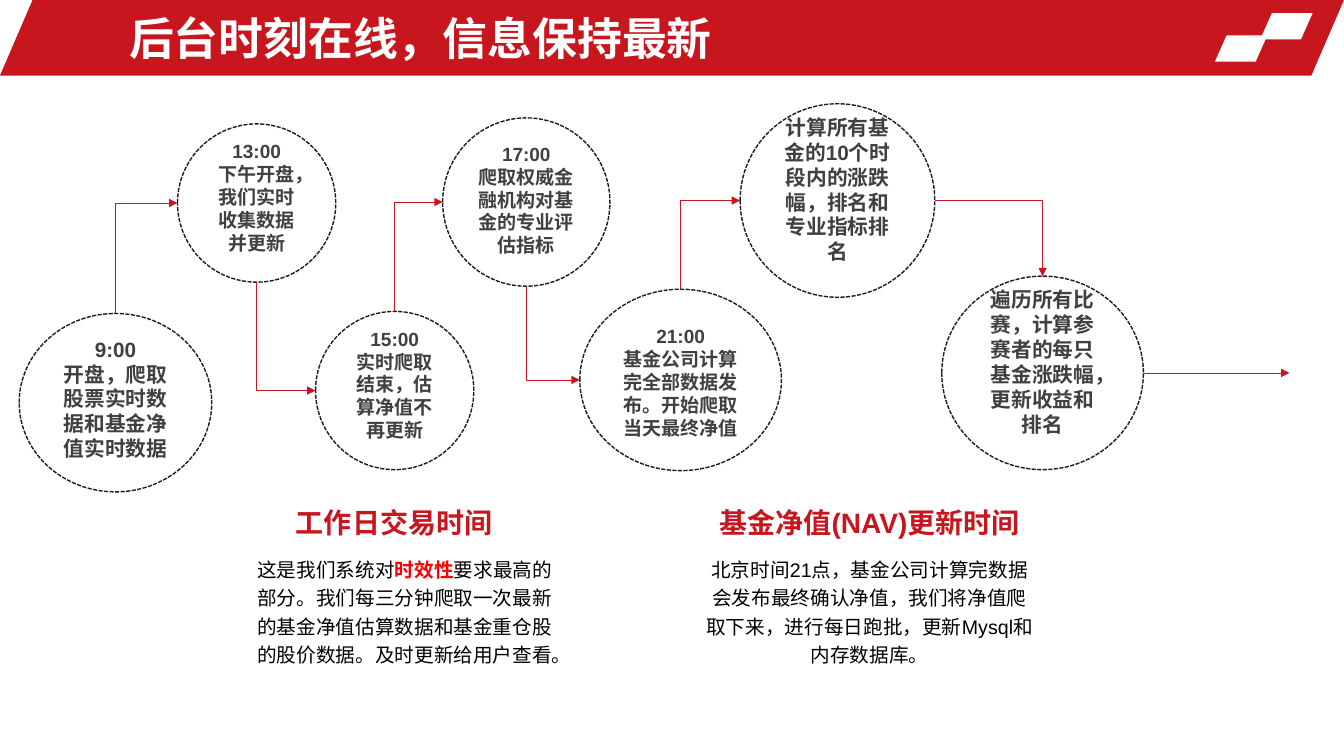
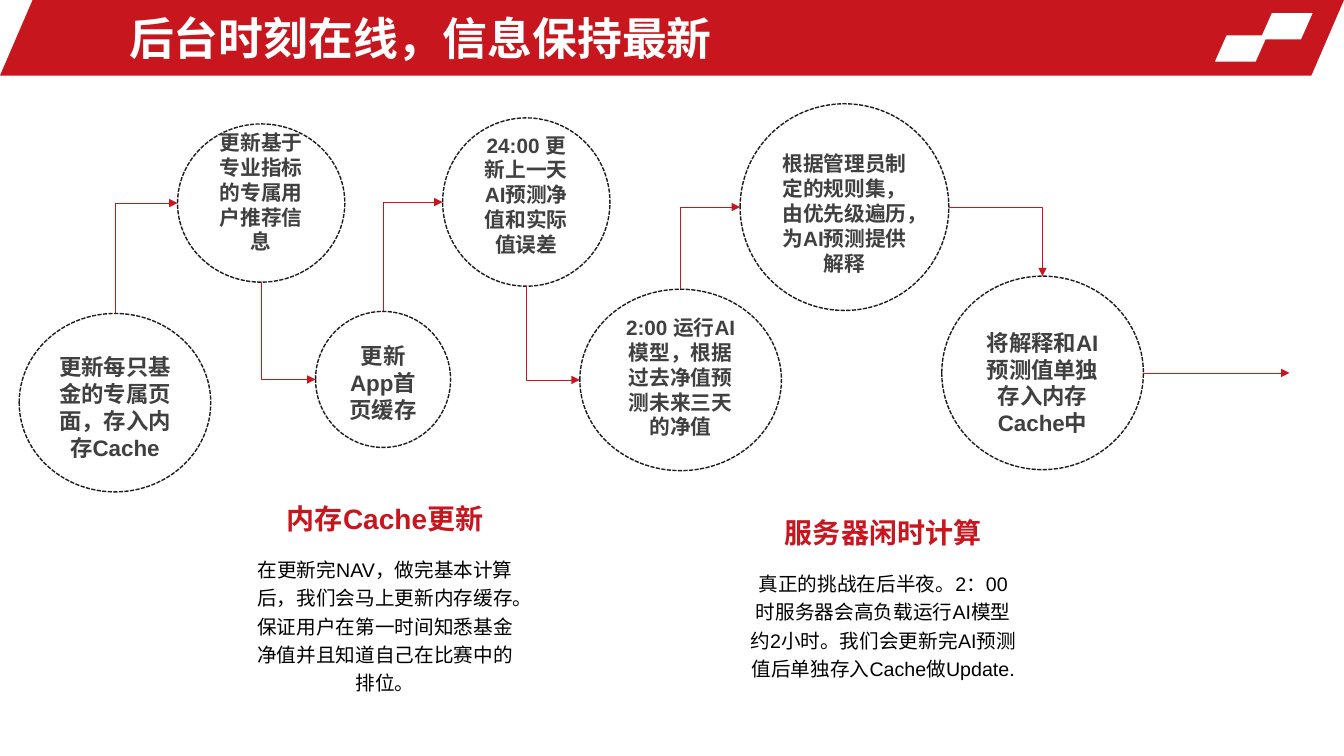
from dataclasses import dataclass

from lxml import etree
from pptx import Presentation
from pptx.dml.color import RGBColor
from pptx.enum.dml import MSO_LINE
from pptx.enum.shapes import MSO_CONNECTOR, MSO_SHAPE
from pptx.enum.text import MSO_ANCHOR, MSO_AUTO_SIZE, PP_ALIGN
from pptx.oxml.ns import qn
from pptx.util import Inches, Pt

OVAL, SLANT = MSO_SHAPE.OVAL, MSO_SHAPE.PARALLELOGRAM
ELBOW, STRAIGHT = MSO_CONNECTOR.ELBOW, MSO_CONNECTOR.STRAIGHT
MIDDLE, BOTTOM = MSO_ANCHOR.MIDDLE, MSO_ANCHOR.BOTTOM
LEFT, CENTER = PP_ALIGN.LEFT, PP_ALIGN.CENTER
DASH = MSO_LINE.SQUARE_DOT
# Connection sites of an ellipse
TOP, WEST, BASE, EAST = 0, 2, 4, 6


@dataclass(frozen=True)
class Theme:
    font: str = "Arial"
    red: RGBColor = RGBColor(0xC8, 0x16, 0x1E)
    alert: RGBColor = RGBColor(0xFF, 0, 0)
    white: RGBColor = RGBColor(0xFF, 0xFF, 0xFF)
    black: RGBColor = RGBColor(0, 0, 0)
    grey: RGBColor = RGBColor(0x40, 0x40, 0x40)
    ink: RGBColor = RGBColor(0x1B, 0x1C, 0x21)
    title: float = 32
    head: float = 20
    body: float = 14
    rim: float = 1
    wire: float = 0.5


@dataclass(frozen=True)
class Box:
    x: int
    y: int
    w: int
    h: int

    def cut(self, x, y, w, h):
        """Return an inner box given in percent of this one."""
        return Box(int(self.x + self.w * x / 100), int(self.y + self.h * y / 100),
                   int(self.w * w / 100), int(self.h * h / 100))

    def rect(self):
        return self.x, self.y, self.w, self.h


THEME = Theme()
PAGE = Box(0, 0, Inches(13.33), Inches(7.5))
FLOW = PAGE.cut(1.43, 13.73, 94.52, 51.33)
TITLE = "后台时刻在线，信息保持最新"

# Left and top of each step, in percent of the flow box
SPOTS = [(0, 54.03), (12.46, 5.19), (23.33, 53.51), (33.33, 3.64),
         (44.13, 47.79), (56.75, 0), (72.62, 44.42)]
# Leaving and entering side of each link between steps
LINKS = [(TOP, WEST), (BASE, WEST), (TOP, WEST), (BASE, WEST), (TOP, WEST), (EAST, TOP)]

# Steps: width and height in percent of the flow box, type size, lines
DAY = [
    (15.16, 45.97, 14.8, ["9:00", "开盘，爬取股票实时数据和基金净值实时数据"]),
    (12.46, 40.78, 13.6, ["13:00", "下午开盘，我们实时收集数据并更新"]),
    (12.46, 40.78, 13.6, ["15:00", "实时爬取结束，估算净值不再更新"]),
    (13.17, 43.38, 13.6, ["17:00", "爬取权威金融机构对基金的专业评估指标"]),
    (15.87, 46.75, 13.6, ["21:00", "基金公司计算完全部数据发布。开始爬取当天最终净值"]),
    (15.32, 49.87, 14.8, ["计算所有基金的10个时段内的涨跌幅，排名和专业指标排名"]),
    (15.87, 49.87, 14.8, ["遍历所有比赛，计算参赛者的每只基金涨跌幅，更新收益和排名"]),
]
NIGHT = [
    (15.08, 45.97, 16, ["更新每只基金的专属页面，存入内存Cache"]),
    (13.17, 40.78, 14.8, ["更新基于专业指标的专属用户推荐信息"]),
    (10.63, 35.06, 16, ["更新App首页缓存"]),
    (13.17, 43.38, 14.8, ["24:00 更新上一天AI预测净值和实际值误差"]),
    (15.87, 46.75, 14.8, ["2:00 运行AI模型，根据过去净值预测未来三天的净值"]),
    (16.43, 53.25, 14.8, ["根据管理员制定的规则集，由优先级遍历，为AI预测提供解释"]),
    (15.87, 49.87, 16, ["将解释和AI预测值单独存入内存Cache中"]),
]

# Notes: box on the page, heading box inside it, heading, body runs (text, stressed)
HEAD = (0, 0, 100, 28)
DAY_NOTES = [
    ((18, 64.67, 24.23, 28.13), (2.79, 1.9, 87.93, 28), "工作日交易时间",
     [("这是我们系统对", False), ("时效性", True),
      ("要求最高的部分。我们每三分钟爬取一次最新的基金净值估算数据和基金重仓股的"
       "股价数据。及时更新给用户查看。", False)]),
    ((51.76, 64.67, 25.88, 28.13), (0, 1.9, 100, 28), "基金净值(NAV)更新时间",
     [("北京时间21点，基金公司计算完数据会发布最终确认净值，我们将净值爬取下来，"
       "进行每日跑批，更新Mysql和内存数据库。", False)]),
]
NIGHT_NOTES = [
    ((18, 64.67, 21.31, 28.13), HEAD, "内存Cache更新",
     [("在更新完NAV，做完基本计算后，我们会马上更新内存缓存。保证用户在第一时间"
       "知悉基金净值并且知道自己在比赛中的排位。", False)]),
    ((55.06, 66.53, 21.31, 28.13), HEAD, "服务器闲时计算",
     [("真正的挑战在后半夜。2：00时服务器会高负载运行AI模型约2小时。我们会更新完"
       "AI预测值后单独存入Cache做Update.", False)]),
]


def style(para, size, color, bold=False, align=CENTER):
    para.alignment = align
    font = para.font
    font.name, font.size, font.bold = THEME.font, Pt(size), bold
    font.color.rgb = color


def slant(slide, box, adj, color):
    shape = slide.shapes.add_shape(SLANT, *box.rect())
    shape.adjustments[0] = adj
    shape.shadow.inherit = False
    shape.fill.solid()
    shape.fill.fore_color.rgb = color
    shape.line.fill.background()
    return shape


def dress(layout, slide):
    """Put the band and title place on the layout, drawing on a slide first."""
    title, *rest = layout.placeholders
    for item in rest:
        layout.shapes.element.remove(item.element)
    title.left, title.top, title.width, title.height = PAGE.cut(
        8.85, 0.67, 58.06, 8.67).rect()
    bands = [slant(slide, PAGE.cut(0, 0, 100, 10), 0.431, THEME.red)]
    for x, y in [(93.77, 1.73), (90.4, 4.67)]:
        bands.append(slant(slide, PAGE.cut(x, y, 3.9, 3.47), 0.444, THEME.white))
    for spot, shape in enumerate(bands, 2):
        layout.shapes.element.insert(spot, shape.element)


def banner(slide):
    frame = slide.shapes.title.text_frame
    frame.text = TITLE
    frame.auto_size = MSO_AUTO_SIZE.NONE
    frame.vertical_anchor = MIDDLE
    style(frame.paragraphs[0], THEME.title, THEME.white, True, LEFT)


def bubble(slide, box, size, lines):
    shape = slide.shapes.add_shape(OVAL, *box.rect())
    shape.shadow.inherit = False
    shape.fill.background()
    shape.line.color.rgb = THEME.ink
    shape.line.width = Pt(THEME.rim)
    shape.line.dash_style = DASH
    frame = shape.text_frame
    frame.word_wrap = True
    frame.vertical_anchor = BOTTOM
    frame.text = "\n".join(lines)
    for para in frame.paragraphs:
        style(para, size, THEME.grey, True)
    return shape


def site(shape, side):
    """Return the point at the middle of one side of a shape."""
    x, y, w, h = shape.left, shape.top, shape.width, shape.height
    return {TOP: (x + w // 2, y), WEST: (x, y + h // 2),
            BASE: (x + w // 2, y + h), EAST: (x + w, y + h // 2)}[side]


def wire(slide, kind, start, end, tip):
    """Draw a red line with an arrowhead at tip (headEnd or tailEnd)."""
    line = slide.shapes.add_connector(kind, *start, *end)
    line.line.color.rgb = THEME.red
    line.line.width = Pt(THEME.wire)
    props = line.element.spPr
    etree.SubElement(props.find(qn("a:ln")), qn("a:" + tip), type="triangle")
    etree.SubElement(props, qn("a:effectLst"))
    return line


def glue(line, tag, shape, side):
    # Ellipses have eight sites, more than begin_connect can place
    lock = next(line.element.iter(qn("p:cNvCxnSpPr")))
    etree.SubElement(lock, qn("a:" + tag), id=str(shape.shape_id), idx=str(side))


def link(slide, source, out, target, into):
    """Join two steps by one bend; the line starts at its level end."""
    ends, tip = [(source, out), (target, into)], "tailEnd"
    if out in (TOP, BASE):
        ends, tip = ends[::-1], "headEnd"
    line = wire(slide, ELBOW, site(*ends[0]), site(*ends[1]), tip)
    line.element.spPr.find(qn("a:prstGeom")).set("prst", "bentConnector2")
    for tag, end in zip(("stCxn", "endCxn"), ends):
        glue(line, tag, *end)


def flow(slide, box, steps):
    spots = [bubble(slide, box.cut(*spot, w, h), size, lines)
             for spot, (w, h, size, lines) in zip(SPOTS, steps)]
    for source, target, (out, into) in zip(spots, spots[1:], LINKS):
        link(slide, source, out, target, into)
    # Arrow leading off to the next stage
    start = site(spots[-1], EAST)
    line = wire(slide, STRAIGHT, start, (box.x + box.w, start[1]), "tailEnd")
    glue(line, "stCxn", spots[-1], EAST)


def label(slide, box):
    frame = slide.shapes.add_textbox(*box.rect()).text_frame
    frame.word_wrap = True
    return frame


def note(slide, box, top, head, runs):
    # Heading
    frame = label(slide, box.cut(*top))
    frame.vertical_anchor = MIDDLE
    frame.text = head
    style(frame.paragraphs[0], THEME.head, THEME.red, True)
    # Body
    para = label(slide, box.cut(0, 28, 100, 72)).paragraphs[0]
    style(para, THEME.body, THEME.black)
    para.line_spacing = 1.2
    for text, stress in runs:
        run = para.add_run()
        run.text = text
        if stress:
            run.font.bold = True
            run.font.color.rgb = THEME.alert


def main():
    deck = Presentation()
    deck.slide_width, deck.slide_height = PAGE.w, PAGE.h
    layout = deck.slide_layouts[5]
    slides = [deck.slides.add_slide(layout) for _ in range(2)]
    dress(layout, slides[0])
    for slide, steps, notes in zip(slides, (DAY, NIGHT), (DAY_NOTES, NIGHT_NOTES)):
        banner(slide)
        flow(slide, FLOW, steps)
        for box, top, head, runs in notes:
            note(slide, PAGE.cut(*box), top, head, runs)
    deck.save("out.pptx")


if __name__ == "__main__":
    main()
